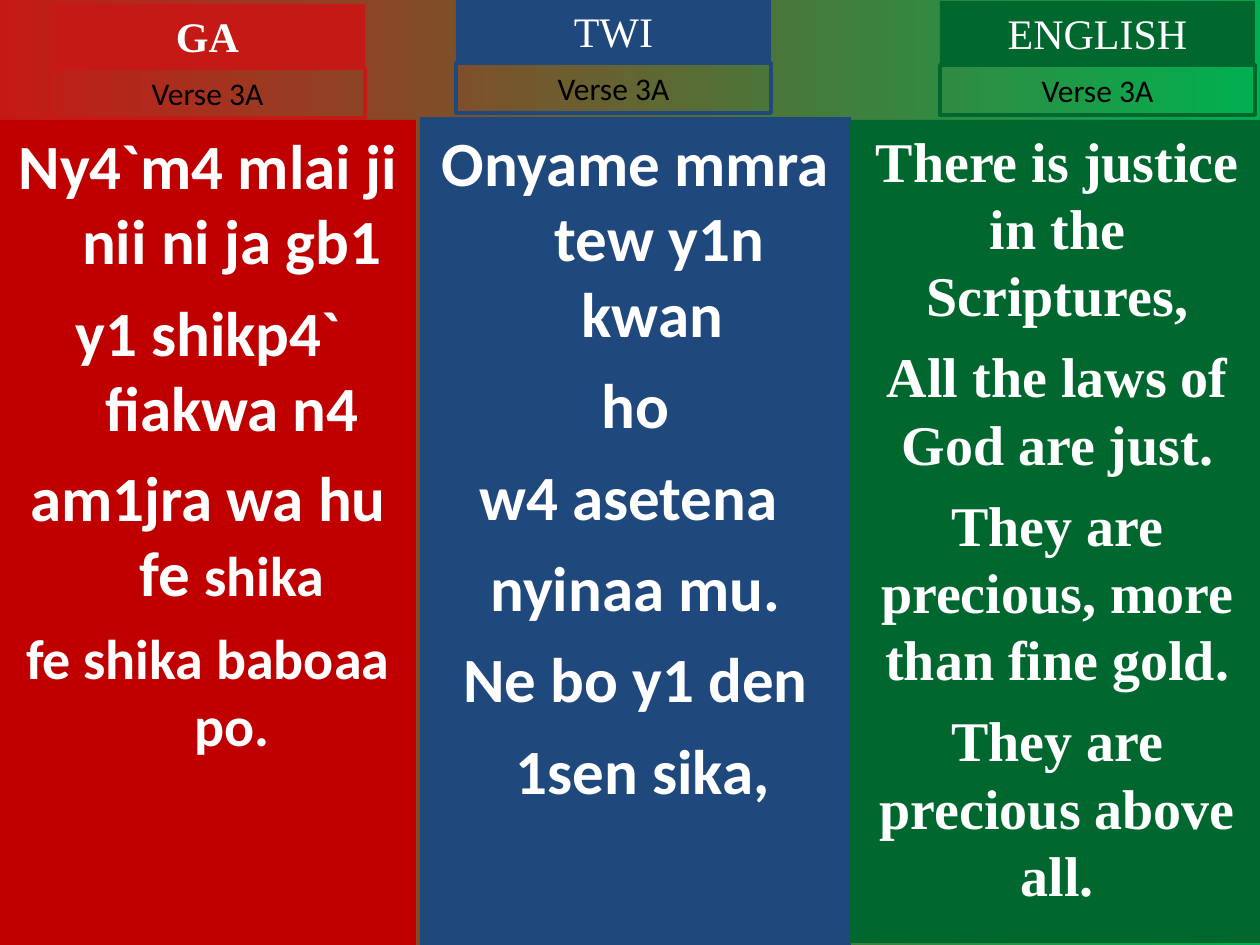
from pptx import Presentation
from pptx import util as u
from pptx.dml.color import RGBColor
from pptx.enum import shapes, text

SCALE = 914400 / 126
HEADER_WIDTH = 315
NAME_HEIGHT = 63
VERSE_OFFSET = 64
VERSE_HEIGHT = 50
HANGING = 48


def px(length):
    return u.Emu(round(length * SCALE))


def color(value):
    return RGBColor.from_string(value)


def add_box(slide, box, fill=None, line=None):
    shape = slide.shapes.add_shape(shapes.MSO_SHAPE.RECTANGLE, *map(px, box))
    shape.shadow.inherit = False
    if fill:
        shape.fill.solid()
        shape.fill.fore_color.rgb = color(fill)
    else:
        shape.fill.background()
    if line:
        shape.line.color.rgb = color(line)
        shape.line.width = u.Pt(2.25)
    else:
        shape.line.fill.background()
    shape.text_frame.word_wrap = True
    shape.text_frame.vertical_anchor = text.MSO_ANCHOR.TOP
    return shape


def format_font(font, name, size, value, bold=False):
    font.name = name
    font.size = u.Pt(size)
    font.bold = bold
    font.color.rgb = color(value)


def add_label(slide, box, label, font, fill=None, line=None):
    shape = add_box(slide, box, fill, line)
    shape.text_frame.auto_size = text.MSO_AUTO_SIZE.SHAPE_TO_FIT_TEXT
    paragraph = shape.text_frame.paragraphs[0]
    paragraph.text = label
    paragraph.alignment = text.PP_ALIGN.CENTER
    format_font(paragraph.font, *font)


def add_header(slide, left, top, language, fill, bold):
    add_label(slide, (left, top, HEADER_WIDTH, NAME_HEIGHT), language,
              ("Times New Roman", 24, "FFFFFF", bold), fill=fill)
    add_label(slide, (left, top + VERSE_OFFSET, HEADER_WIDTH, VERSE_HEIGHT),
              "Verse 3A", ("Calibri", 18, "000000"), line=fill)


def add_lyrics(slide, box, lines, fill, font_name, hanging):
    frame = add_box(slide, box, fill).text_frame
    for index, (space, runs) in enumerate(lines):
        paragraph = frame.add_paragraph() if index else frame.paragraphs[0]
        paragraph.alignment = text.PP_ALIGN.CENTER
        if index:
            paragraph.space_before = u.Pt(space)
        if hanging:
            properties = paragraph._p.get_or_add_pPr()
            properties.set("marL", str(px(HANGING)))
            properties.set("indent", str(px(-HANGING)))
        format_font(paragraph.font, font_name, runs[0][1], "FFFFFF", True)
        for words, size in runs:
            run = paragraph.add_run()
            run.text = words
            if size != runs[0][1]:
                run.font.size = u.Pt(size)


def lines_of(size, space, *verses):
    return [(space, [(verse, size)]) for verse in verses]


def set_background(slide):
    fill = slide.background.fill
    fill.gradient()
    fill.gradient_angle = 0
    for stop, position, value in zip(fill.gradient_stops, (0, 1), ("C51915", "00B050")):
        stop.position = position
        stop.color.rgb = color(value)


GA_LINES = [
    *lines_of(36, 9, "Ny4`m4 mlai ji nii ni ja gb1", "y1 shikp4` fiakwa n4"),
    (8, [("am1jra wa hu fe ", 36), ("shika", 32)]),
    *lines_of(32, 8, "fe shika baboaa po."),
]
TWI_LINES = lines_of(36, 9, "Onyame mmra tew y1n kwan ", "ho", "w4 asetena ",
                     "nyinaa mu.", "Ne bo y1 den", " 1sen sika,")
ENGLISH_LINES = lines_of(32, 8, "There is justice in the Scriptures,",
                         "All the laws of God are just.",
                         "They are precious, more than fine gold.",
                         "They are precious above all.")


def main():
    presentation = Presentation()
    presentation.slide_width = px(1260)
    presentation.slide_height = px(945)
    slide = presentation.slides.add_slide(presentation.slide_layouts[6])
    set_background(slide)

    add_lyrics(slide, (0, 120, 416, 825), GA_LINES, "C00000", "Calibri", True)
    add_lyrics(slide, (420, 117, 431, 828), TWI_LINES, "1F497D", "Calibri", True)
    add_lyrics(slide, (850, 120, 415, 823), ENGLISH_LINES, "00682F",
               "Times New Roman", False)

    add_header(slide, 50, 4, "GA", "C51915", True)
    add_header(slide, 456, -1, "TWI", "1F497D", False)
    add_header(slide, 940, 1, "ENGLISH", "00682F", False)
    presentation.save("out.pptx")


if __name__ == "__main__":
    main()
